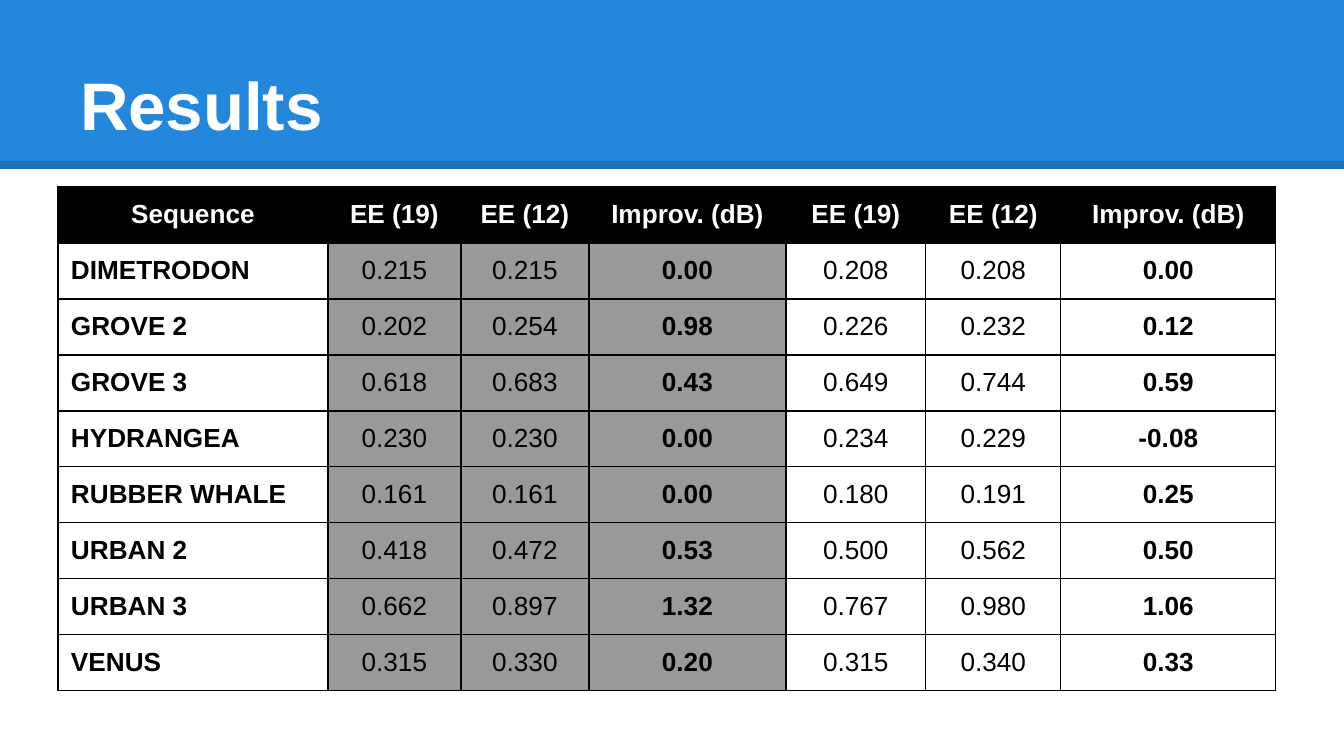
from dataclasses import dataclass

from lxml import etree
from pptx import Presentation
from pptx.dml.color import RGBColor
from pptx.enum.shapes import MSO_CONNECTOR, MSO_SHAPE
from pptx.enum.text import MSO_ANCHOR, MSO_AUTO_SIZE, PP_ALIGN
from pptx.oxml.ns import qn
from pptx.util import Emu, Pt

RECT, STRAIGHT = MSO_SHAPE.RECTANGLE, MSO_CONNECTOR.STRAIGHT
TOP, BOTTOM = MSO_ANCHOR.TOP, MSO_ANCHOR.BOTTOM
NO_FIT = MSO_AUTO_SIZE.NONE
LEFT, CENTER = PP_ALIGN.LEFT, PP_ALIGN.CENTER

PX_PER_INCH = 134.4
FONT = "Arial"
COLORS = {"band": "2388DB", "black": "000000", "white": "FFFFFF", "gray": "999999"}
WIDTH, HEIGHT = 1344, 756
BAND_HEIGHT, RULE_Y = 169, 165
TABLE_LEFT, TABLE_TOP, ROW_HEIGHT = 58, 187, 56
INSET = 13


@dataclass(frozen=True)
class Column:
    header: str
    width: int
    bold: bool = False
    fill: str | None = None
    align: PP_ALIGN = CENTER


COLUMNS = [
    Column("Sequence", 270, bold=True, align=LEFT),
    Column("EE (19)", 133, fill="gray"),
    Column("EE (12)", 128, fill="gray"),
    Column("Improv. (dB)", 197, bold=True, fill="gray"),
    Column("EE (19)", 140),
    Column("EE (12)", 135),
    Column("Improv. (dB)", 215, bold=True),
]

ROWS = [
    ("DIMETRODON", "0.215", "0.215", "0.00", "0.208", "0.208", "0.00"),
    ("GROVE 2", "0.202", "0.254", "0.98", "0.226", "0.232", "0.12"),
    ("GROVE 3", "0.618", "0.683", "0.43", "0.649", "0.744", "0.59"),
    ("HYDRANGEA", "0.230", "0.230", "0.00", "0.234", "0.229", "-0.08"),
    ("RUBBER WHALE", "0.161", "0.161", "0.00", "0.180", "0.191", "0.25"),
    ("URBAN 2", "0.418", "0.472", "0.53", "0.500", "0.562", "0.50"),
    ("URBAN 3", "0.662", "0.897", "1.32", "0.767", "0.980", "1.06"),
    ("VENUS", "0.315", "0.330", "0.20", "0.315", "0.340", "0.33"),
]


def px(n: int) -> Emu:
    return Emu(round(n * 914400 / PX_PER_INCH))


def rgb(name: str) -> RGBColor:
    return RGBColor.from_string(COLORS[name])


def set_font(p, size: int, color: str, bold: bool) -> None:
    p.font.name, p.font.size, p.font.bold = FONT, Pt(size), bold
    p.font.color.rgb = rgb(color)


def set_insets(box) -> None:
    box.margin_left = box.margin_right = px(INSET)
    box.margin_top = box.margin_bottom = px(INSET)


def add_band(s) -> None:
    sp = s.shapes.add_shape(RECT, 0, 0, px(WIDTH), px(BAND_HEIGHT))
    sp.shadow.inherit = False
    sp.fill.solid()
    sp.fill.fore_color.rgb = rgb("band")
    sp.line.fill.background()

    # Translucent rule along the lower edge
    rule = s.shapes.add_connector(STRAIGHT, 0, px(RULE_Y), px(WIDTH), px(RULE_Y))
    rule.line.width = Pt(4.5)
    rule.line.color.rgb = rgb("black")
    sp_pr = rule._element.spPr
    clr = sp_pr.find(".//" + qn("a:srgbClr"))
    etree.SubElement(clr, qn("a:alpha"), val="15000")
    etree.SubElement(sp_pr, qn("a:effectLst"))


def set_title(s, text: str) -> None:
    title = s.shapes.title
    s.shapes._spTree.append(title._element)  # in front of the band
    title.left, title.top = px(67), px(31)
    title.width, title.height = px(1210), px(126)
    tf = title.text_frame
    tf.text = text
    tf.word_wrap, tf.auto_size = True, NO_FIT
    tf.vertical_anchor = BOTTOM
    set_insets(tf)
    p = tf.paragraphs[0]
    p.alignment = LEFT
    set_font(p, 36, "white", True)


def add_borders(cell) -> None:
    tc_pr = cell._tc.get_or_add_tcPr()
    for side in ("lnL", "lnR", "lnT", "lnB"):
        ln = etree.SubElement(tc_pr, qn(f"a:{side}"), w=str(Pt(0.75)))
        fill = etree.SubElement(ln, qn("a:solidFill"))
        etree.SubElement(fill, qn("a:srgbClr"), val=COLORS["black"])


def fill_cell(cell, text: str, align: PP_ALIGN, color: str, bold: bool,
              fill: str | None) -> None:
    add_borders(cell)
    if fill:
        cell.fill.solid()
        cell.fill.fore_color.rgb = rgb(fill)
    else:
        cell.fill.background()
    set_insets(cell)
    cell.vertical_anchor = TOP
    cell.text = text
    p = cell.text_frame.paragraphs[0]
    p.alignment = align
    set_font(p, 14, color, bold)


def add_results(s) -> None:
    n_rows = len(ROWS) + 1
    table = s.shapes.add_table(
        n_rows, len(COLUMNS), px(TABLE_LEFT), px(TABLE_TOP),
        px(sum(c.width for c in COLUMNS)), px(n_rows * ROW_HEIGHT)).table
    table.first_row = table.horz_banding = False
    for row in table.rows:
        row.height = px(ROW_HEIGHT)
    for j, col in enumerate(COLUMNS):
        table.columns[j].width = px(col.width)
        fill_cell(table.cell(0, j), col.header, CENTER, "white", True, "black")
        for i, values in enumerate(ROWS, start=1):
            fill_cell(table.cell(i, j), values[j], col.align, "black",
                      col.bold, col.fill)


def main() -> None:
    prs = Presentation()
    prs.slide_width, prs.slide_height = px(WIDTH), px(HEIGHT)
    s = prs.slides.add_slide(prs.slide_layouts[5])
    add_band(s)
    set_title(s, "Results")
    add_results(s)
    prs.save("out.pptx")


if __name__ == "__main__":
    main()
